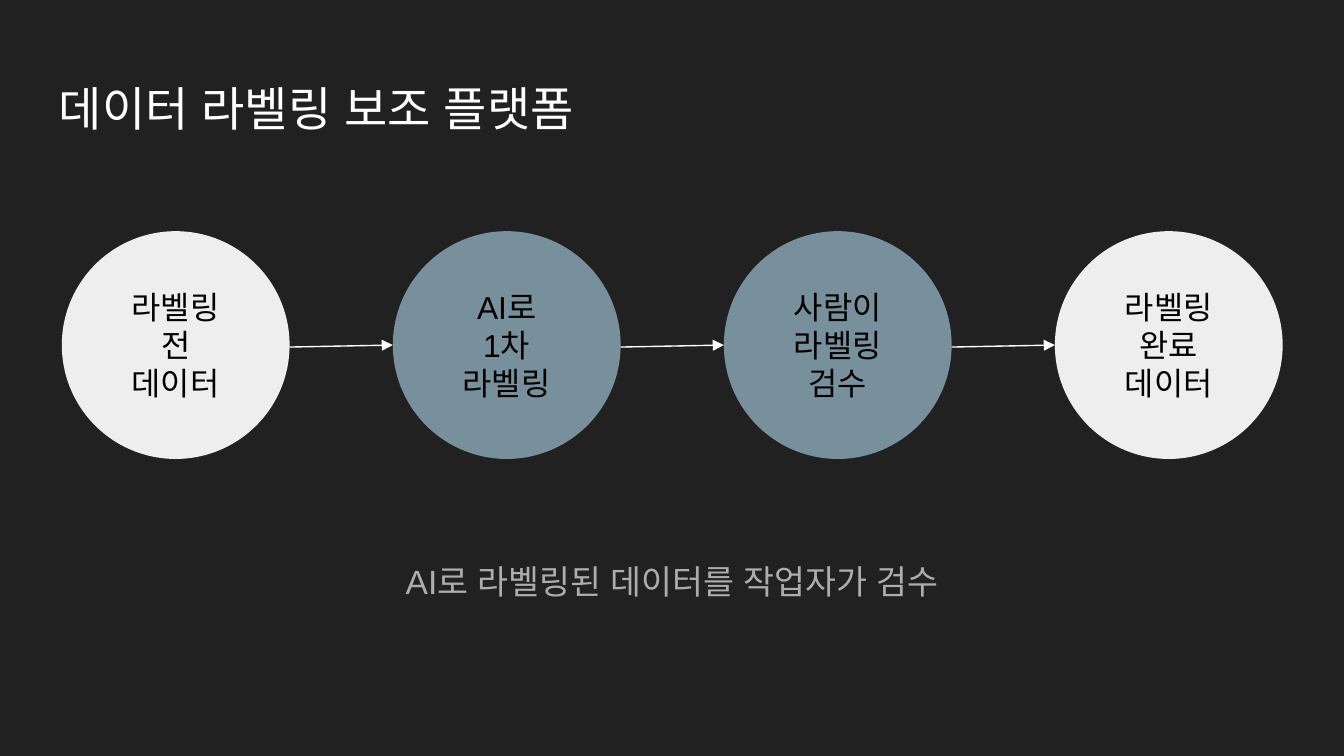
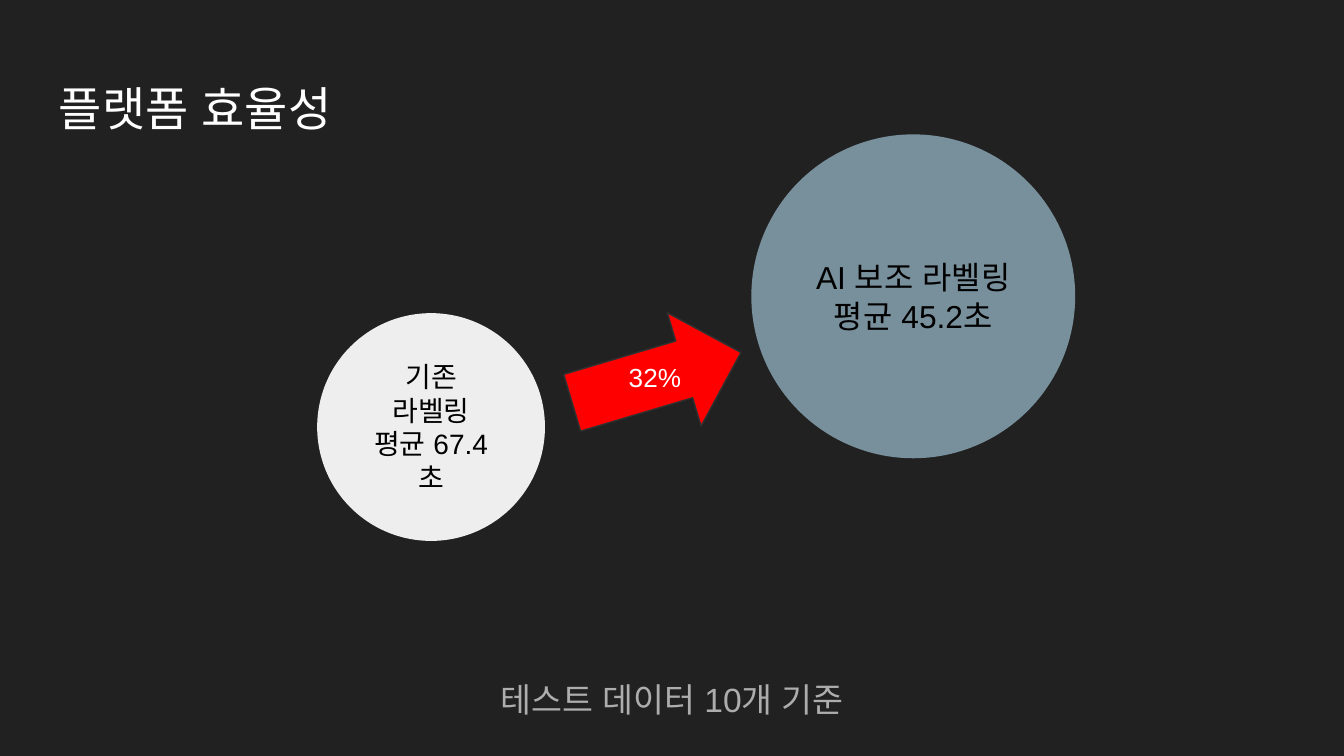
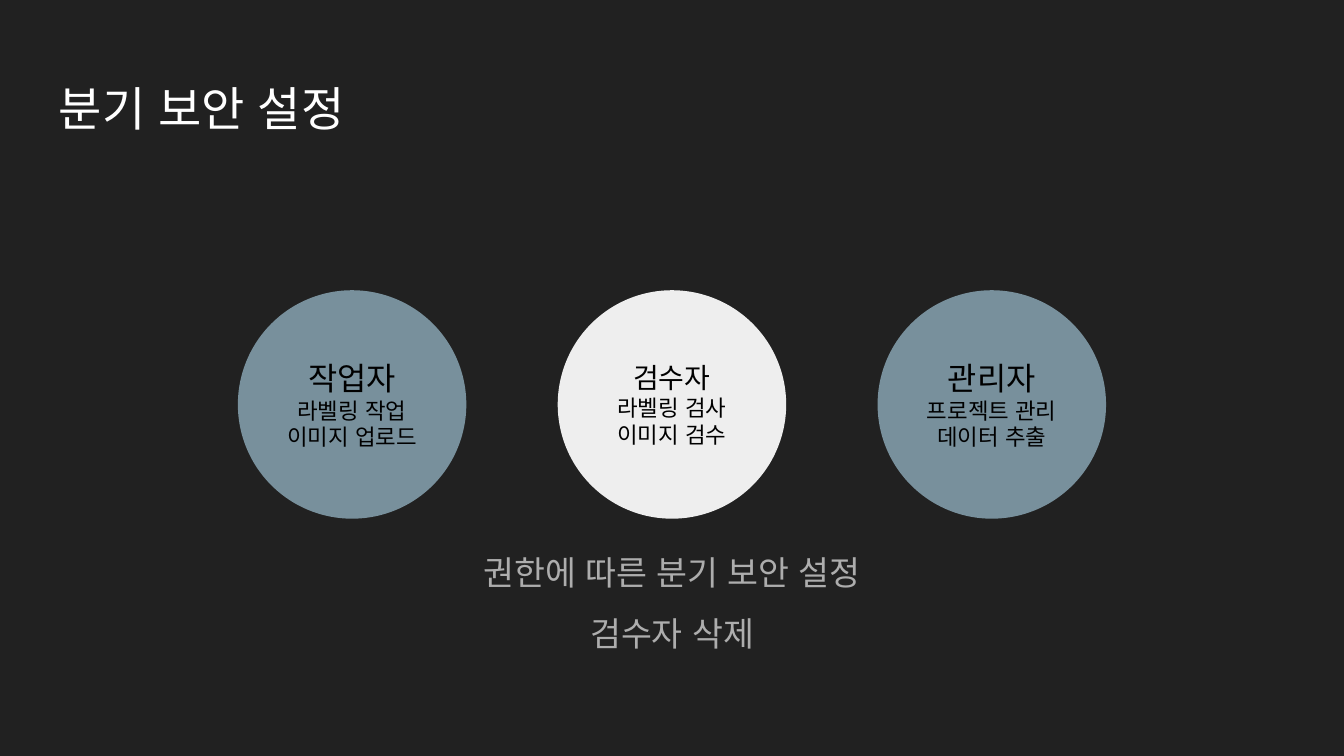
from dataclasses import dataclass
from itertools import pairwise

from lxml.etree import SubElement
from pptx import Presentation
from pptx.dml.color import RGBColor
from pptx.enum.shapes import MSO_CONNECTOR, MSO_SHAPE
from pptx.enum.text import MSO_ANCHOR, MSO_AUTO_SIZE, PP_ALIGN
from pptx.oxml.ns import qn
from pptx.util import Inches, Pt


@dataclass(frozen=True)
class Theme:
    """Colours, type sizes and grid shared by all slides."""

    font: str = "Arial"
    background: str = "212121"
    pale: str = "EEEEEE"
    slate: str = "78909C"
    alert: str = "FF0000"
    outline: str = "303030"
    white: str = "FFFFFF"
    ink: str = "000000"
    muted: str = "ADADAD"
    title_size: float = 25.2
    caption_size: float = 18
    label_size: float = 17
    compact_size: float = 15
    figure_size: float = 14
    detail_size: float = 12
    hairline: float = 0.75
    columns: int = 100
    margin: float = 3.4
    content_width: float = 93.2


THEME = Theme()
SLIDE_WIDTH = Inches(10)
SLIDE_HEIGHT = SLIDE_WIDTH * 9 // 16
CELL = SLIDE_WIDTH / THEME.columns
BOX_FORMAT = dict.fromkeys(
    ("margin_left", "margin_top", "margin_right", "margin_bottom"), Inches(0.1)
) | {"word_wrap": True, "auto_size": MSO_AUTO_SIZE.NONE}
CAPTION_FORMAT = {"alignment": PP_ALIGN.CENTER, "line_spacing": 1.15, "space_after": Pt(12)}
TIGHT_FORMAT = {"alignment": PP_ALIGN.CENTER, "line_spacing": 0.95}


def grid(*cells):
    """Turn grid cells into whole slide units."""
    return [round(cell * CELL) for cell in cells]


def apply(target, formats):
    """Set every format value on the target."""
    for attribute, value in formats.items():
        setattr(target, attribute, value)


def paint(fill, colour):
    """Fill with one solid colour."""
    fill.solid()
    fill.fore_color.rgb = RGBColor.from_string(colour)


def write(frame, lines, colour, anchor=MSO_ANCHOR.TOP):
    """Write (text, size, paragraph format) lines into a text frame."""
    apply(frame, BOX_FORMAT | {"vertical_anchor": anchor})
    for index, (text, size, formats) in enumerate(lines):
        paragraph = frame.add_paragraph() if index else frame.paragraphs[0]
        apply(paragraph, formats)
        run = paragraph.add_run()
        run.text = text
        apply(run.font, {"size": Pt(size), "name": THEME.font})
        run.font.color.rgb = RGBColor.from_string(colour)
        SubElement(run.font._element, qn("a:ea"), typeface=THEME.font)


def add_text(slide, place, lines, colour):
    """Add a text box at a grid place."""
    box = slide.shapes.add_textbox(*grid(*place))
    write(box.text_frame, lines, colour)


def add_titled_slide(deck, title):
    """Add a dark slide with its title."""
    slide = deck.slides.add_slide(deck.slide_layouts[6])
    paint(slide.background.fill, THEME.background)
    place = (THEME.margin, 4.9, THEME.content_width, 6.3)
    add_text(slide, place, [(title, THEME.title_size, {})], THEME.white)
    return slide


def add_caption(slide, top, height, *captions):
    """Add centred (text, paragraph format) captions across the slide."""
    lines = [(text, THEME.caption_size, formats) for text, formats in captions]
    add_text(slide, (THEME.margin, top, THEME.content_width, height), lines, THEME.muted)


def add_circle(slide, left, top, diameter, colour, lines):
    """Add a circle with centred (text, size) lines."""
    circle = slide.shapes.add_shape(MSO_SHAPE.OVAL, *grid(left, top, diameter, diameter))
    circle.shadow.inherit = False
    paint(circle.fill, colour)
    circle.line.fill.background()
    centred = [(text, size, {"alignment": PP_ALIGN.CENTER}) for text, size in lines]
    write(circle.text_frame, centred, THEME.ink, MSO_ANCHOR.MIDDLE)
    return circle


def add_circle_row(slide, left, top, diameter, step, circles):
    """Add evenly spaced circles from (colour, lines) pairs."""
    return [
        add_circle(slide, left + index * step, top, diameter, colour, lines)
        for index, (colour, lines) in enumerate(circles)
    ]


def link(slide, source, target):
    """Draw an arrow from one circle's right side to the next one's left."""
    start = (source.left + source.width, source.top + source.height // 2 + round(CELL * 0.15))
    end = (target.left, target.top + target.height // 2)
    arrow = slide.shapes.add_connector(MSO_CONNECTOR.STRAIGHT, *start, *end)
    arrow.line.width = Pt(THEME.hairline)
    paint(arrow.line.fill, THEME.white)
    SubElement(arrow.line._get_or_add_ln(), qn("a:tailEnd"), type="triangle")
    SubElement(arrow._element.spPr, qn("a:effectLst"))


def add_gain_arrow(slide, place, rotation):
    """Add the tilted block arrow that marks the gain."""
    arrow = slide.shapes.add_shape(MSO_SHAPE.RIGHT_ARROW, *grid(*place))
    arrow.shadow.inherit = False
    arrow.rotation = rotation
    paint(arrow.fill, THEME.alert)
    paint(arrow.line.fill, THEME.outline)
    arrow.line.width = Pt(THEME.hairline)


def build_workflow(deck):
    """Show the four labelling steps."""
    slide = add_titled_slide(deck, "데이터 라벨링 보조 플랫폼")
    add_caption(slide, 40.3, 9.7, ("AI로 라벨링된 데이터를 작업자가 검수", CAPTION_FORMAT))
    steps = [
        (THEME.pale, ["라벨링", "전", "데이터"]),
        (THEME.slate, ["AI로", "1차 라벨링"]),
        (THEME.slate, ["사람이", "라벨링", "검수"]),
        (THEME.pale, ["라벨링 완료 데이터"]),
    ]
    circles = [
        (colour, [(text, THEME.label_size) for text in texts]) for colour, texts in steps
    ]
    for source, target in pairwise(add_circle_row(slide, 4.6, 17.2, 16.95, 24.63, circles)):
        link(slide, source, target)


def build_efficiency(deck):
    """Compare average labelling times."""
    slide = add_titled_slide(deck, "플랫폼 효율성")
    add_caption(slide, 49.1, 5, ("테스트 데이터 10개 기준", CAPTION_FORMAT))
    manual = [(text, THEME.compact_size) for text in ("기존 라벨링", "평균 67.4초")]
    assisted = [(text, THEME.label_size) for text in ("AI 보조 라벨링", "평균 45.2초")]
    add_circle(slide, 23.6, 23.3, 16.95, THEME.pale, manual)
    add_circle(slide, 55.9, 10, 24.1, THEME.slate, assisted)
    add_gain_arrow(slide, (42.3, 23.7, 13.1, 8.8), -16.6)
    add_text(slide, (45.8, 25.9, 15.7, 4.4), [("32%", THEME.figure_size, {})], THEME.white)


def build_permissions(deck):
    """Show the three roles and their rights."""
    slide = add_titled_slide(deck, "분기 보안 설정")
    roles = [
        (THEME.slate, "작업자", THEME.label_size, ["라벨링 작업", "이미지 업로드"]),
        (THEME.pale, "검수자", THEME.compact_size, ["라벨링 검사", "이미지 검수"]),
        (THEME.slate, "관리자", THEME.label_size, ["프로젝트 관리", "데이터 추출"]),
    ]
    circles = [
        (colour, [(role, size)] + [(right, THEME.detail_size) for right in rights])
        for colour, role, size, rights in roles
    ]
    add_circle_row(slide, 17.7, 21.6, 17, 23.8, circles)
    add_caption(
        slide, 40.3, 9.7,
        ("권한에 따른 분기 보안 설정", TIGHT_FORMAT),
        ("검수자 삭제", TIGHT_FORMAT | {"space_before": Pt(12), "space_after": Pt(12)}),
    )


def main():
    """Build and save the deck."""
    deck = Presentation()
    apply(deck, {"slide_width": SLIDE_WIDTH, "slide_height": SLIDE_HEIGHT})
    for build in (build_workflow, build_efficiency, build_permissions):
        build(deck)
    deck.save("out.pptx")


if __name__ == "__main__":
    main()
